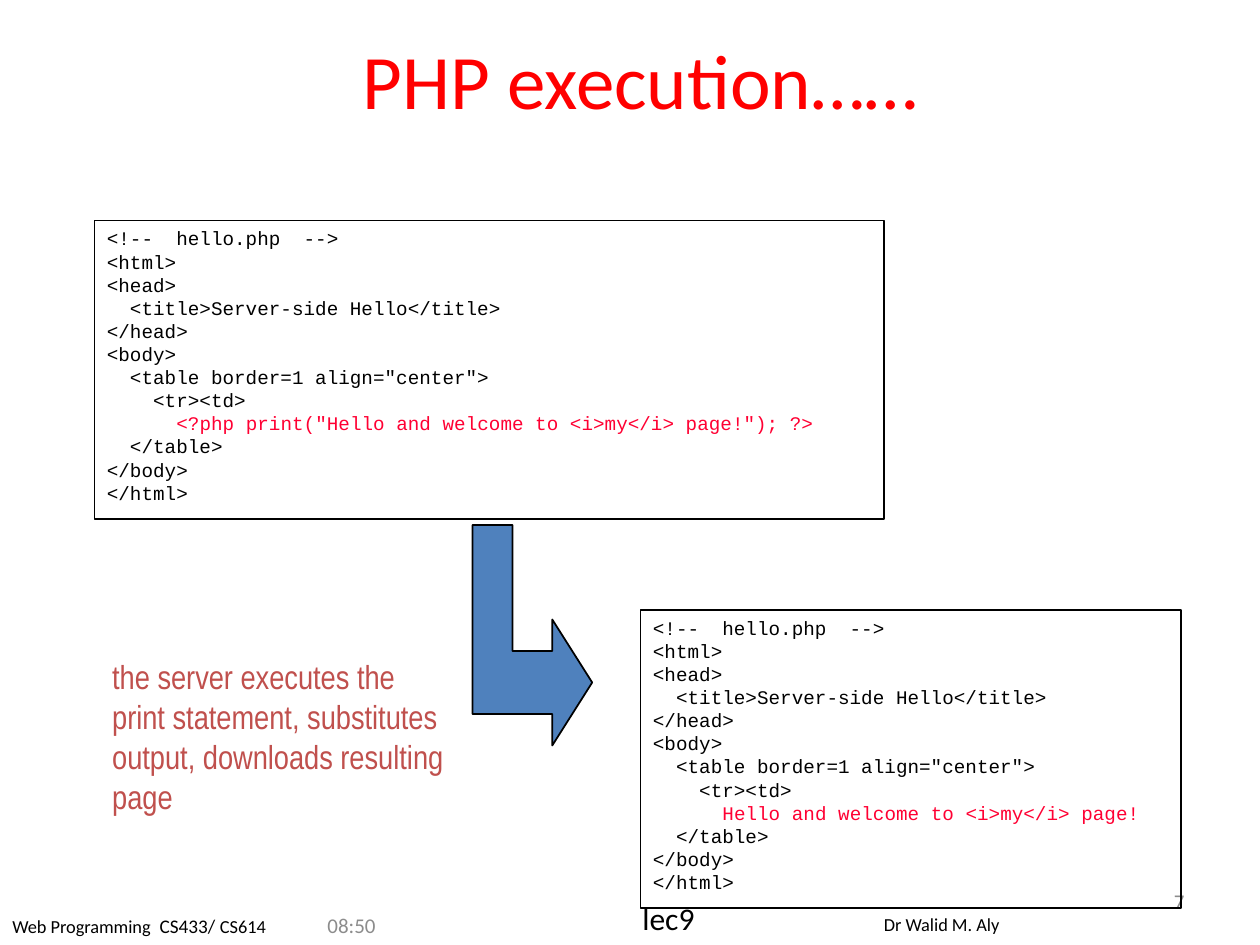
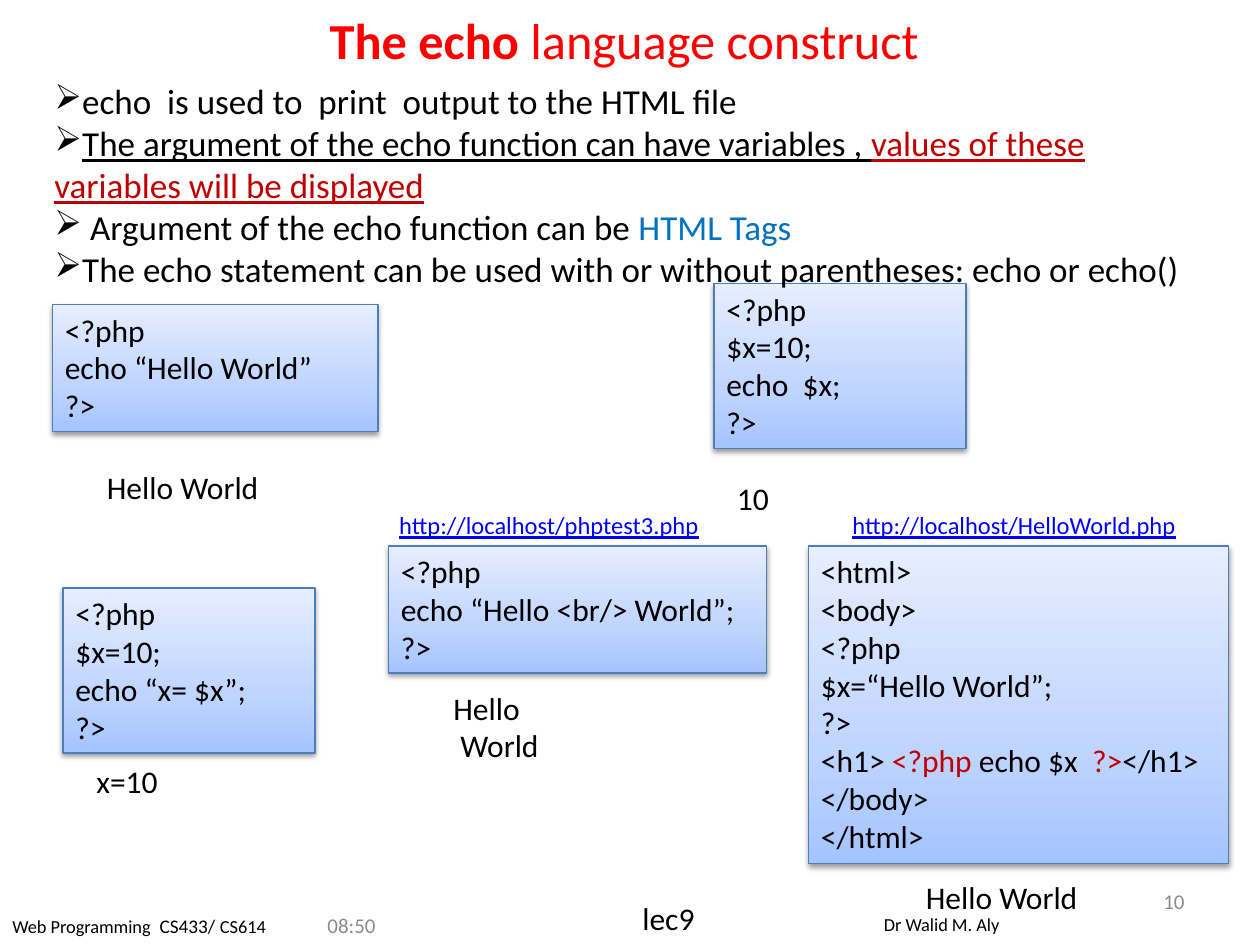
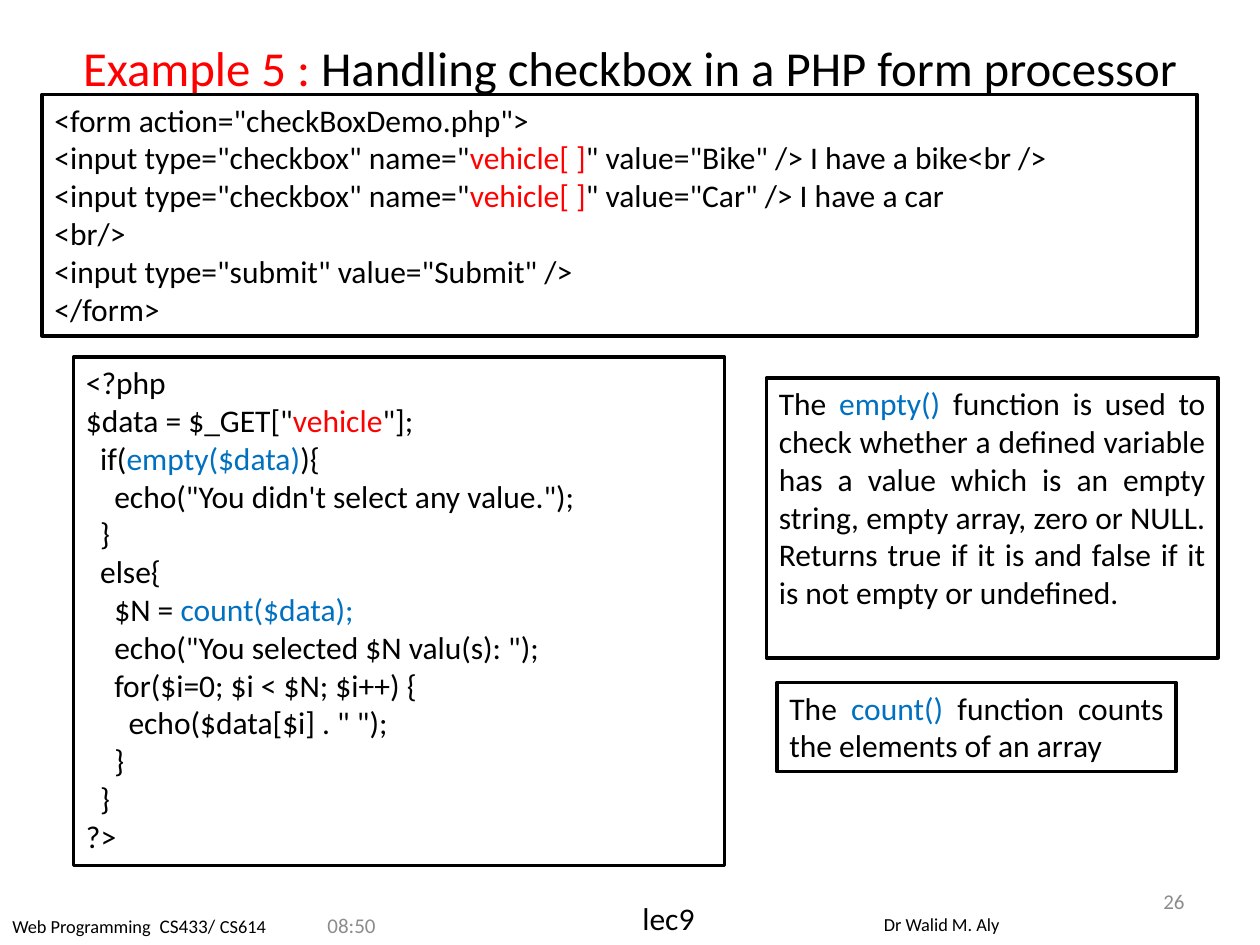
from dataclasses import dataclass

from pptx import Presentation
from pptx.dml.color import RGBColor
from pptx.enum.shapes import MSO_SHAPE
from pptx.enum.text import MSO_ANCHOR, MSO_AUTO_SIZE, PP_ALIGN
from pptx.oxml import parse_xml
from pptx.oxml.ns import nsdecls, qn
from pptx.util import Pt

RECT = MSO_SHAPE.RECTANGLE
LEFT, CENTER, RIGHT, JUSTIFY = (
    PP_ALIGN.LEFT, PP_ALIGN.CENTER, PP_ALIGN.RIGHT, PP_ALIGN.JUSTIFY)
TOP, MIDDLE = MSO_ANCHOR.TOP, MSO_ANCHOR.MIDDLE
NO_AUTOFIT = MSO_AUTO_SIZE.NONE
TITLE_ONLY = 5


@dataclass(frozen=True)
class Theme:
    font: str = "Calibri"
    mono: str = "Courier New"
    narrow: str = "Arial Narrow"
    black: str = "000000"
    white: str = "FFFFFF"
    red: str = "FF0000"
    dark_red: str = "C00000"
    code_red: str = "FF0033"
    brick: str = "C0504D"
    blue: str = "0070C0"
    link: str = "0000FF"
    arrow: str = "4F81BD"
    box_line: str = "4B7EBC"
    gray: str = "8C8C8C"
    gradient: tuple = ((0, "A4C4FF"), (35, "BFD4FF"), (100, "E6EEFF"))
    body: float = 18
    bullet: float = 20
    code: float = 11
    caption: float = 19
    url: float = 14
    small: float = 10.5
    meta: float = 12
    line_height: float = 21.8


T = Theme()


# ---- Shared helpers ----
def rgb(value):
    return RGBColor.from_string(value)


def place(shape, box):
    shape.left, shape.top, shape.width, shape.height = (Pt(v) for v in box)


def write_text(tf, lines, size=T.body, font=T.font, color=T.black, align=LEFT,
               anchor=TOP, underline=None, bullet=None):
    """A line is a string or a list of runs; a run is a string or (text, format)."""
    tf.word_wrap = True
    tf.auto_size = NO_AUTOFIT
    tf.vertical_anchor = anchor
    for i, line in enumerate(lines):
        p = tf.paragraphs[0] if i == 0 else tf.add_paragraph()
        p.alignment = align
        if bullet:
            p_pr = p._p.get_or_add_pPr()
            p_pr.append(parse_xml(f'<a:buChar {nsdecls("a")} char="{bullet}"/>'))
        for run in [line] if isinstance(line, str) else line:
            text, fmt = (run, {}) if isinstance(run, str) else run
            r = p.add_run()
            r.text = text
            r.font.name = font
            r.font.size = Pt(fmt.get("size", size))
            r.font.color.rgb = rgb(fmt.get("color", color))
            r.font.bold = fmt.get("bold")
            r.font.underline = fmt.get("underline", underline)


def add_text(slide, box, lines, **fmt):
    tb = slide.shapes.add_textbox(*(Pt(v) for v in box))
    write_text(tb.text_frame, lines, **fmt)


def add_box(slide, box, lines, fill=None, line=T.black, weight=1, **fmt):
    sp = slide.shapes.add_shape(RECT, *(Pt(v) for v in box))
    sp.shadow.inherit = False
    if fill:
        sp.fill.solid()
        sp.fill.fore_color.rgb = rgb(fill)
    else:
        sp.fill.background()
    sp.line.color.rgb = rgb(line)
    sp.line.width = Pt(weight)
    write_text(sp.text_frame, lines, **fmt)
    return sp


def add_glow(sp):
    """Gives a box its vertical gradient and soft shadow."""
    sp_pr = sp.element.spPr
    sp.fill.gradient()
    stops = "".join(
        f'<a:gs pos="{pos * 1000}"><a:srgbClr val="{color}"/></a:gs>'
        for pos, color in T.gradient)
    sp_pr.replace(sp_pr.find(qn("a:gradFill")), parse_xml(
        f'<a:gradFill {nsdecls("a")} rotWithShape="1"><a:gsLst>{stops}</a:gsLst>'
        '<a:lin ang="16200000" scaled="0"/></a:gradFill>'))
    sp_pr.find(qn("a:effectLst")).append(parse_xml(
        f'<a:outerShdw {nsdecls("a")} blurRad="{Pt(3.1)}" dist="{Pt(1.6)}" '
        f'dir="5400000" rotWithShape="0"><a:srgbClr val="{T.black}">'
        '<a:alpha val="38000"/></a:srgbClr></a:outerShdw>'))


def height_for(lines):
    return len(lines) * T.line_height + 7.2


def add_footer(slide, number):
    add_text(slide, (0, 519, 282, 35),
             [["Web Programming", ("  CS433/ ", {"size": 11}), "CS614"]], size=T.small)
    add_text(slide, (498, 518.4, 120, 21), ["Dr Walid M. Aly"], size=T.small)
    add_text(slide, (360, 510, 54, 30), ["lec9"])
    add_text(slide, (180, 519, 48, 19), ["08:50"],
             size=T.meta, color=T.gray, anchor=MIDDLE)
    add_text(slide, (516, 500.4, 168, 28.8), [number],
             size=T.meta, color=T.gray, align=RIGHT, anchor=MIDDLE)


def new_slide(prs, title, box, size, number, anchor=MIDDLE):
    slide = prs.slides.add_slide(prs.slide_layouts[TITLE_ONLY])
    place(slide.shapes.title, box)
    tf = slide.shapes.title.text_frame
    write_text(tf, [title], size=size, color=T.red, align=CENTER, anchor=anchor)
    if anchor == TOP:
        tf.margin_top = 0
    add_footer(slide, number)
    return slide


# ---- PHP execution ----
def hello_page(slide, box, body_line):
    add_box(slide, box, [
        "<!--  hello.php  -->",
        "<html>",
        "<head>",
        "  <title>Server-side Hello</title>",
        "</head>",
        "<body>",
        '  <table border=1 align="center">',
        "    <tr><td>",
        ["      ", (body_line, {"color": T.code_red})],
        "  </table>",
        "</body>",
        "</html>",
    ], size=T.code, font=T.mono)


def bent_arrow(slide, box):
    x, y, w, h = box
    grid = [(3, 5), (2, 3), (2, 4), (1, 4), (1, 0), (0, 0), (0, 6), (2, 6), (2, 7)]
    points = [(Pt(x + w * col / 3), Pt(y + h * row / 7)) for col, row in grid]
    builder = slide.shapes.build_freeform(*points[0])
    builder.add_line_segments(points[1:], close=True)
    sp = builder.convert_to_shape()
    sp.shadow.inherit = False
    sp.fill.solid()
    sp.fill.fore_color.rgb = rgb(T.arrow)
    sp.line.color.rgb = rgb(T.black)
    sp.line.width = Pt(1)


def execution_slide(prs):
    slide = new_slide(prs, "PHP execution……", (42, 0, 648, 90), 44, "7")
    hello_page(slide, (54, 126, 451.4, 170.6),
               '<?php print("Hello and welcome to <i>my</i> page!"); ?>')
    hello_page(slide, (366, 348.5, 308.9, 170.6),
               "Hello and welcome to <i>my</i> page!")
    bent_arrow(slide, (270, 300, 68.4, 126))
    add_text(slide, (57, 371.5, 206, 98.6),
             ["the server executes the print statement, substitutes output, "
              "downloads resulting page"],
             size=T.caption, font=T.narrow, color=T.brick)


# ---- The echo construct ----
def echo_example(slide, origin, width, code, output, shift,
                 output_width=126, url=None, url_shift=0):
    """Code box with its output below and, if given, its address above."""
    x, y = origin
    add_glow(add_box(slide, (x, y, width, height_for(code)), code,
                     line=T.box_line, weight=0.75))
    add_text(slide, (x + shift[0], y + shift[1], output_width, height_for(output)),
             output)
    if url:
        add_text(slide, (x + url_shift, y - 24, 206, 24.2), [url],
                 size=T.url, color=T.link, underline=True)


def echo_slide(prs):
    slide = new_slide(prs, [("The echo ", {"bold": True}), "language construct "],
                      (36, 0, 648, 45), 28.8, "10")
    echo_example(slide, (30, 174), 186, ["<?php", "echo “Hello World”", "?>"],
                 ["Hello World"], (24, 90))
    echo_example(slide, (222, 312), 216, ["<?php", "echo “Hello <br/> World”;", "?>"],
                 ["Hello", " World"], (30, 78), output_width=96,
                 url="http://localhost/phptest3.php", url_shift=-1)
    echo_example(slide, (408, 162), 144, ["<?php", "$x=10;", "echo  $x;", "?>"],
                 ["10"], (6, 108))
    echo_example(slide, (36, 336), 144, ["<?php", "$x=10;", "echo “x= $x”;", "?>"],
                 ["x=10"], (12, 96))
    mark = {"color": T.dark_red}
    echo_example(slide, (462, 312), 240, [
        "<html>", "<body>", "<?php", "$x=“Hello World”;", "?>",
        ["<h1> ", ("<?php ", mark), "echo $x  ", ("?>", mark), "</h1>"],
        "</body>", "</html>",
    ], ["Hello World"], (60, 186), url="http://localhost/HelloWorld.php", url_shift=18)

    # Bullet list
    add_text(slide, (24, 42, 678, 128), [
        "echo  is used to  print  output to the HTML file",
        [("The argument of the echo function can have variables , ",
          {"underline": True}),
         ("values of these variables will be displayed",
          {"underline": True, "color": T.dark_red})],
        [" Argument of the echo function can be", (" HTML Tags", {"color": T.blue})],
        "The echo statement can be used with or without parentheses: echo or echo()",
    ], size=T.bullet, bullet="➢")


# ---- Checkbox example ----
def framed(slide, box, lines, align=LEFT):
    add_box(slide, box, lines, fill=T.white, weight=2, align=align)


def checkbox_input(value, label):
    return ['<input type="checkbox" name="', ("vehicle[ ]", {"color": T.red}),
            f'" value="{value}" /> {label}']


def checkbox_slide(prs):
    slide = new_slide(prs, ["Example 5 : ", ("Handling checkbox in a PHP form processor",
                                             {"color": T.black})],
                      (36, 21.6, 648, 90), 27.9, "26", anchor=TOP)
    blue = {"color": T.blue}
    form = [
        '<form action="checkBoxDemo.php">',
        checkbox_input("Bike", "I have a bike<br />"),
        checkbox_input("Car", "I have a car"),
        "<br/>",
        '<input type="submit" value="Submit" />',
        "</form>",
    ]
    processor = [
        "<?php",
        ['$data = $_GET["', ("vehicle", {"color": T.red}), '"];'],
        ["  if(", ("empty($data)", blue), "){"],
        '    echo("You didn\'t select any value.");',
        "  }",
        "  else{",
        ["    $N = ", ("count($data);", blue)],
        '    echo("You selected $N valu(s): ");',
        "    for($i=0; $i < $N; $i++) {",
        '      echo($data[$i] . " ");',
        "    }",
        "  }",
        "?>",
    ]
    framed(slide, (24, 54, 660, height_for(form)), form)
    framed(slide, (42, 204, 372, height_for(processor)), processor)

    # Function notes
    framed(slide, (438, 216, 258, 160), [[
        "The ", ("empty() ", blue),
        "function is used to check whether a defined variable has a value which is "
        "an empty string, empty array, zero or NULL. Returns true if it is and false "
        "if it is not empty or undefined."]], align=JUSTIFY)
    framed(slide, (444, 390, 228, 51), [[
        "The ", ("count() ", blue), "function counts the elements of an array"]],
        align=JUSTIFY)


def main():
    prs = Presentation()
    prs.slide_width, prs.slide_height = Pt(720), Pt(540)
    execution_slide(prs)
    echo_slide(prs)
    checkbox_slide(prs)
    prs.save("out.pptx")


if __name__ == "__main__":
    main()
